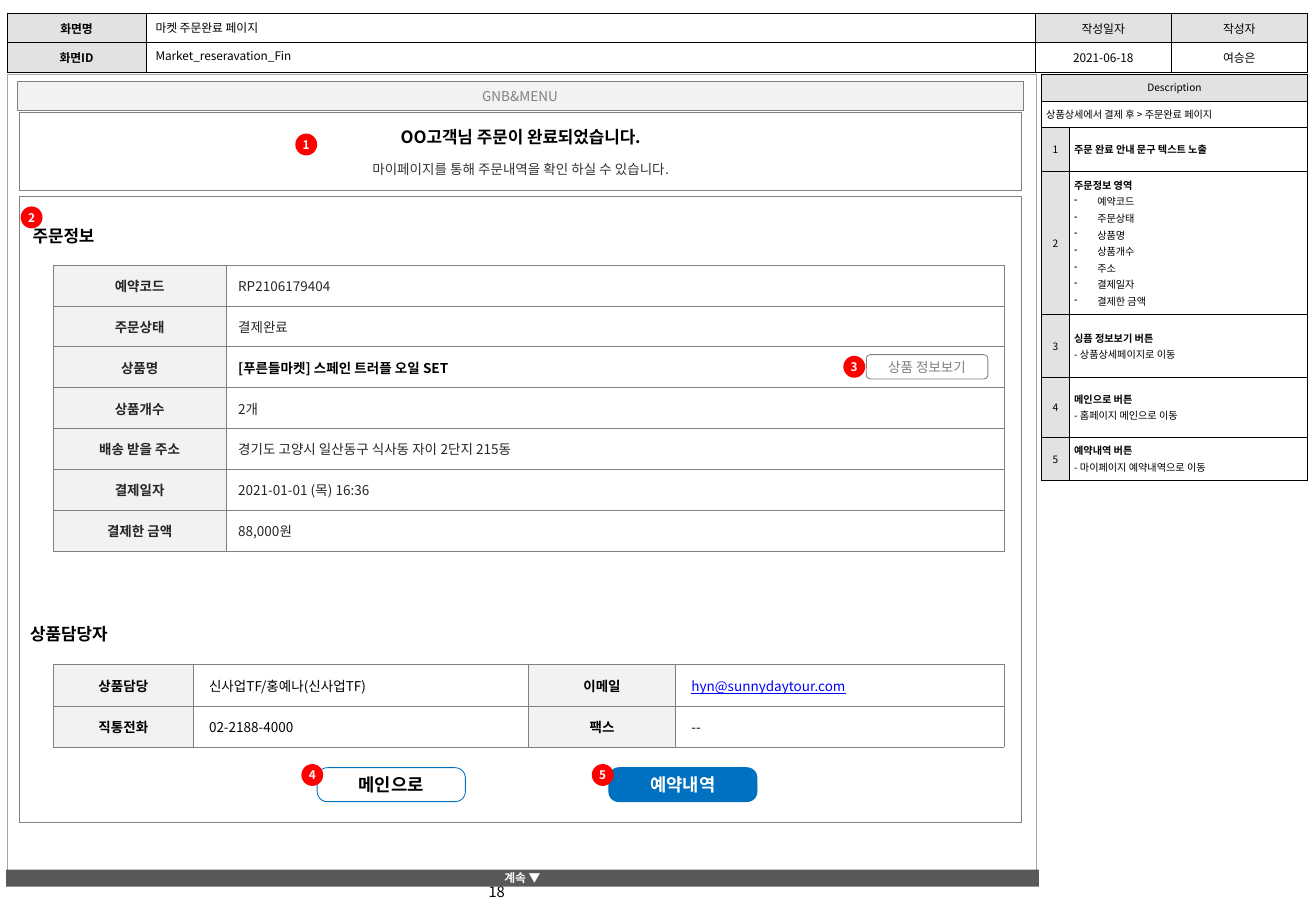
"""Build the order-complete screen plan as one slide."""
from collections import namedtuple

from lxml import etree
from pptx import Presentation
from pptx.dml.color import RGBColor
from pptx.enum.shapes import MSO_SHAPE
from pptx.enum.text import MSO_ANCHOR, MSO_AUTO_SIZE, PP_ALIGN
from pptx.oxml.ns import qn
from pptx.util import Inches, Pt

RECT, ROUND, OVAL = MSO_SHAPE.RECTANGLE, MSO_SHAPE.ROUNDED_RECTANGLE, MSO_SHAPE.OVAL
LEFT, MID = PP_ALIGN.LEFT, PP_ALIGN.CENTER
CENTER, FIXED = MSO_ANCHOR.MIDDLE, MSO_AUTO_SIZE.NONE

BLACK = RGBColor(0x00, 0x00, 0x00)
WHITE = RGBColor(0xFF, 0xFF, 0xFF)
DARK = RGBColor(0x26, 0x26, 0x26)
INK = RGBColor(0x33, 0x33, 0x33)
SLATE = RGBColor(0x59, 0x59, 0x59)
GRAY = RGBColor(0x80, 0x80, 0x80)
SILVER = RGBColor(0xA6, 0xA6, 0xA6)
ASH = RGBColor(0xE2, 0xE2, 0xE2)
PALE = RGBColor(0xF2, 0xF2, 0xF2)
RED = RGBColor(0xFF, 0x00, 0x00)
BLUE = RGBColor(0x00, 0x70, 0xC0)
LINK = RGBColor(0x00, 0x00, 0xFF)

Para = namedtuple("Para", "text size color bold align gap dash under",
                  defaults=(8, BLACK, False, LEFT, 0, False, False))
Cell = namedtuple("Cell", "paras fill", defaults=(WHITE,))


class Page:
    """Hold the font and the slide, and add each kind of element."""

    font = "Noto Sans CJK KR"

    def __init__(self, slide):
        self.slide = slide
        self.shapes = slide.shapes

    def fit(self, frame, paras, pad=(0.1, 0.05), wrap=True):
        """Fill a text frame with paragraphs."""
        frame.word_wrap = wrap
        frame.auto_size = FIXED
        frame.vertical_anchor = CENTER
        frame.margin_left = frame.margin_right = Inches(pad[0])
        frame.margin_top = frame.margin_bottom = Inches(pad[1])
        self.fill(frame, paras)

    def fill(self, frame, paras):
        """Put the paragraphs in a frame."""
        for i, para in enumerate(paras):
            self.add(frame.add_paragraph() if i else frame.paragraphs[0], para)

    def add(self, line, para):
        """Style one paragraph and add its run."""
        line.alignment = para.align
        line.line_spacing = 1.0
        line.space_before = Pt(para.gap)
        props = line._p.get_or_add_pPr()
        indent = Inches(0.19) if para.dash else 0
        props.set("marL", str(indent))
        props.set("indent", str(-indent))
        if para.dash:
            etree.SubElement(props, qn("a:buChar")).set("char", "-")
        else:
            etree.SubElement(props, qn("a:buNone"))
        if not para.text:
            end = etree.SubElement(line._p, qn("a:endParaRPr"))
            end.set("sz", str(para.size * 100))
            return
        run = line.add_run()
        run.text = para.text
        font = run.font
        font.size, font.bold, font.underline = Pt(para.size), para.bold, para.under
        font.color.rgb = para.color
        font.name = self.font
        etree.SubElement(run._r.get_or_add_rPr(), qn("a:ea")).set("typeface", self.font)

    def place(self, holder, at, para):
        """Move a placeholder to the front and fill it."""
        holder.left, holder.top, holder.width, holder.height = map(Inches, at)
        self.shapes._spTree.append(holder._element)
        self.fit(holder.text_frame, [para])

    def label(self, at, para, pad=(0.1, 0.05)):
        """Add a free text box."""
        self.fit(self.shapes.add_textbox(*map(Inches, at)).text_frame, [para], pad, False)

    def box(self, kind, at, fill=None, line=None, width=0.5, paras=(),
            pad=(0.09, 0.04), wrap=True, curve=None):
        """Add a preset shape with text."""
        shape = self.shapes.add_shape(kind, *map(Inches, at))
        shape.shadow.inherit = False
        if curve:
            shape.adjustments[0] = curve
        if fill is None:
            shape.fill.background()
        else:
            shape.fill.solid()
            shape.fill.fore_color.rgb = fill
        if line is None:
            shape.line.fill.background()
        else:
            shape.line.color.rgb = line
            shape.line.width = Pt(width)
        self.fit(shape.text_frame, paras, pad, wrap)

    def badge(self, mark, left, top):
        """Add a red number mark."""
        self.box(OVAL, (left, top, 0.18, 0.18), RED, pad=(0.04, 0.04), wrap=False,
                 paras=[Para(mark, 7, WHITE, True, MID)])

    def grid(self, left, top, cols, rows, cells, line, pad=(0.1, 0.05)):
        """Add a table; a lone cell in a row spans all columns."""
        table = self.shapes.add_table(
            len(rows), len(cols), Inches(left), Inches(top),
            Inches(sum(cols)), Inches(sum(rows))).table
        table.first_row = table.horz_banding = False
        for col, width in zip(table.columns, cols):
            col.width = Inches(width)
        for row, height in zip(table.rows, rows):
            row.height = Inches(height)
        for r, group in enumerate(cells):
            if len(group) == 1:
                table.cell(r, 0).merge(table.cell(r, len(cols) - 1))
            for c in range(len(cols)):
                cell = table.cell(r, c)
                self.edge(cell, line)
                if c < len(group):
                    cell.fill.solid()
                    cell.fill.fore_color.rgb = group[c].fill
                    cell.vertical_anchor = CENTER
                    cell.margin_left = cell.margin_right = Inches(pad[0])
                    cell.margin_top = cell.margin_bottom = Inches(pad[1])
                    self.fill(cell.text_frame, group[c].paras)

    def edge(self, cell, color):
        """Draw the four borders of a cell."""
        props = cell._tc.get_or_add_tcPr()
        for side in ("a:lnL", "a:lnR", "a:lnT", "a:lnB"):
            border = etree.SubElement(props, qn(side), w=str(Pt(0.25)))
            fill = etree.SubElement(border, qn("a:solidFill"))
            etree.SubElement(fill, qn("a:srgbClr"), val=str(color))


def main():
    """Lay out the slide and save it."""
    deck = Presentation()
    deck.slide_width, deck.slide_height = Inches(10.83), Inches(7.5)
    slide = deck.slides.add_slide(deck.slide_layouts[1])
    page = Page(slide)

    def top(text, bold=False, fill=ASH):
        return Cell([Para(text, 7, BLACK, bold, MID)], fill)

    blank = Cell([Para("", 7)])
    page.grid(0.06, 0.11, (1.14, 7.32, 1.12, 1.12), (0.24, 0.24), [
        [top("화면명", True), blank, top("작성일자"), top("작성자")],
        [top("화면ID", True), blank, top("2021-06-18", fill=WHITE), top("여승은", fill=WHITE)],
    ], BLACK, (0.05, 0.05))
    page.label((3.93, 7.22, 0.48, 0.24), Para("18", 8.7), (0.09, 0.05))
    page.box(RECT, (0.06, 0.61, 8.47, 6.59), line=SILVER, width=0.25)
    page.place(slide.shapes.title, (1.18, 0.11, 5.24, 0.24), Para("마켓 주문완료 페이지", 7))
    page.place(slide.placeholders[1], (1.18, 0.34, 5.24, 0.24),
               Para("Market_reseravation_Fin", 7))

    fields = ("예약코드", "주문상태", "상품명", "상품개수", "주소", "결제일자", "결제한 금액")
    notes = [
        ("주문 완료 안내 문구 텍스트 노출", (), False),
        ("주문정보 영역", fields, True),
        ("싱픔 정보보기 버튼", ("- 상품상세페이지로 이동",), False),
        ("메인으로 버튼", ("- 홈페이지 메인으로 이동",), False),
        ("예약내역 버튼", ("- 마이페이지 예약내역으로 이동",), False),
    ]
    cells = [[Cell([Para("Description", 6, align=MID)], ASH)],
             [Cell([Para("상품상세에서 결제 후 > 주문완료 페이지", 6)])]]
    for i, (name, items, dash) in enumerate(notes, 1):
        lines = [Para(name, 6, bold=True, gap=1.2)]
        lines += [Para(item, 6, gap=1.2, dash=dash) for item in items]
        cells.append([Cell([Para(str(i), 6, align=MID)], ASH), Cell(lines)])
    page.grid(8.57, 0.61, (0.23, 1.96), (0.21, 0.21, 0.36, 1.17, 0.52, 0.49, 0.35),
              cells, BLACK, (0.04, 0.05))

    page.box(RECT, (0.05, 7.16, 8.5, 0.14), SLATE, wrap=False,
             paras=[Para("계속 ▼", 7, WHITE, True, MID)])
    page.box(RECT, (0.16, 1.62, 8.25, 5.15), WHITE, GRAY)

    def head(text, color=BLACK):
        return Cell([Para(text, 8, color, True, MID)], PALE)

    def value(text, color=BLACK, bold=False, under=False):
        return Cell([Para(text, 8, color, bold, under=under)])

    order = [
        ("예약코드", "RP2106179404"), ("주문상태", "결제완료"),
        ("상품명", "[푸른들마켓] 스페인 트러플 오일 SET"), ("상품개수", "2개"),
        ("배송 받을 주소", "경기도 고양시 일산동구 식사동 자이 2단지 215동"),
        ("결제일자", "2021-01-01 (목) 16:36"), ("결제한 금액", "88,000원"),
    ]
    cells = [[head(name, DARK), value(text, BLACK if name == "상품명" else DARK, name == "상품명")]
             for name, text in order]
    page.grid(0.44, 2.18, (1.42, 6.4), [2.36 / 7] * 7, cells, GRAY)
    page.box(RECT, (0.16, 0.93, 8.25, 0.64), WHITE, GRAY, pad=(0.05, 0.05), paras=[
        Para("OO고객님 주문이 완료되었습니다.", 10, BLACK, True, MID),
        Para("마이페이지를 통해 주문내역을 확인 하실 수 있습니다.", 8, INK, align=MID, gap=8)])
    for text, left, fill, color in (("예약내역", 5.01, BLUE, WHITE), ("메인으로", 2.61, WHITE, BLACK)):
        page.box(ROUND, (left, 6.32, 1.22, 0.28), fill, BLUE, curve=0.3,
                 paras=[Para(text, 10.5, color, True, MID)])
    page.box(ROUND, (7.13, 2.92, 1, 0.2), WHITE, GRAY,
             paras=[Para("상품 정보보기", 8, GRAY, align=MID)])
    page.label((0.15, 5.08, 0.86, 0.27), Para("상품담당자", 10, bold=True))
    page.label((0.17, 1.81, 0.76, 0.27), Para("주문정보", 10, bold=True))
    page.grid(0.44, 5.47, (1.15, 2.76, 1.21, 2.7), (0.34, 0.34), [
        [head("상품담당"), value("신사업TF/홍예나(신사업TF)"),
         head("이메일"), value("hyn@sunnydaytour.com", LINK, under=True)],
        [head("직통전화"), value("02-2188-4000"), head("팩스"), value("--")],
    ], GRAY, (0.13, 0.05))
    page.box(RECT, (0.14, 0.67, 8.28, 0.24), PALE, GRAY, 0.25,
             [Para("GNB&MENU", 8, GRAY, align=MID)])
    spots = ((2.43, 1.1), (0.17, 1.7), (6.94, 2.93), (2.48, 6.29), (4.87, 6.29))
    for i, spot in enumerate(spots, 1):
        page.badge(str(i), *spot)
    deck.save("out.pptx")


if __name__ == "__main__":
    main()
